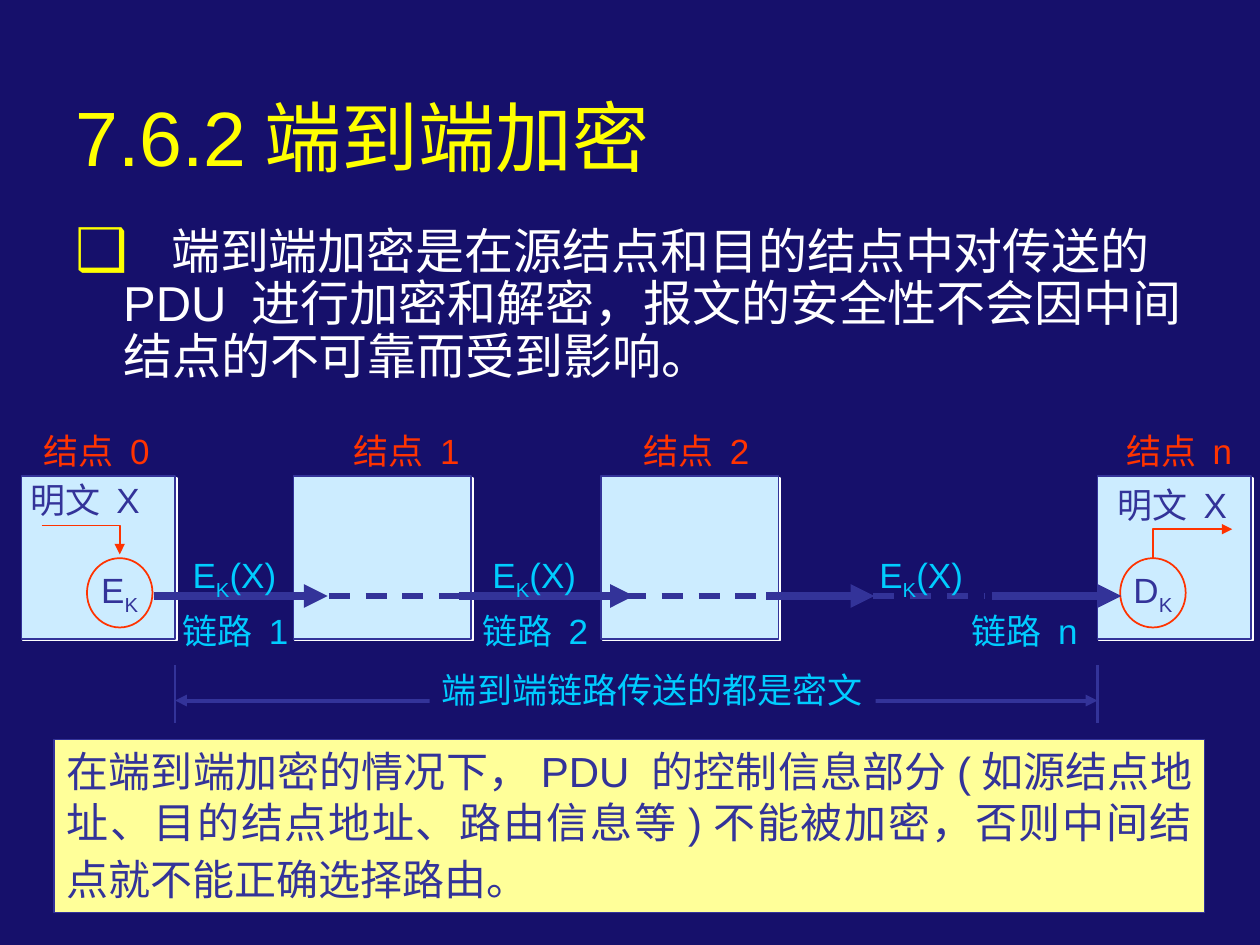
from lxml import etree
from pptx import Presentation
from pptx.dml.color import RGBColor
from pptx.enum.dml import MSO_LINE
from pptx.enum.shapes import MSO_CONNECTOR, MSO_SHAPE
from pptx.enum.text import MSO_ANCHOR, MSO_AUTO_SIZE, PP_ALIGN
from pptx.oxml.ns import qn
from pptx.util import Pt

PX = 9144  # EMU per px, 100 px to the inch
RECT, OVAL = MSO_SHAPE.RECTANGLE, MSO_SHAPE.OVAL
LINE, DASH = MSO_CONNECTOR.STRAIGHT, MSO_LINE.DASH
LEFT, MID, RIGHT, JUST = PP_ALIGN.LEFT, PP_ALIGN.CENTER, PP_ALIGN.RIGHT, PP_ALIGN.JUSTIFY
TOP, CENTER = MSO_ANCHOR.TOP, MSO_ANCHOR.MIDDLE
GROW, FIXED = MSO_AUTO_SIZE.SHAPE_TO_FIT_TEXT, MSO_AUTO_SIZE.NONE
FONT = "Arial"
HUE = {"back": "16106B", "title": "FFFF01", "mark": "FFFF00", "white": "FFFFFF",
       "node": "CCECFF", "ink": "333399", "red": "FF3300", "cyan": "00CCFF",
       "note": "FFFF99"}


def px(*nums):
    return [n * PX for n in nums]


def rgb(name):
    return RGBColor.from_string(HUE[name])


def sub(host, tag, **attrs):
    return etree.SubElement(host, qn("a:" + tag), attrs)


def bullet(para, char, hue, size):
    prop = para._p.get_or_add_pPr()
    sub(sub(prop, "buClr"), "srgbClr", val=HUE[hue])
    sub(prop, "buSzPct", val=str(size * 1000))
    sub(prop, "buFont", typeface=FONT)
    sub(prop, "buChar", char=char)


def write(shape, *lines, size=20, hue="ink", align=LEFT, anchor=TOP, wrap=False,
          fit=GROW, space=None, left=0, hang=0, first=0, tab=0, mark=None, before=0):
    """Each line is a list of runs; a run that starts with _ is a subscript."""
    frame = shape.text_frame
    frame.word_wrap, frame.auto_size = wrap, fit
    frame.vertical_anchor = anchor
    for i, runs in enumerate(lines):
        para = frame.add_paragraph() if i else frame.paragraphs[0]
        prop = para._p.get_or_add_pPr()
        prop.set("marL", str((left if i else left + first) * PX))
        prop.set("indent", str(-hang * PX))
        if mark:
            bullet(para, mark, "mark", 120)
        if tab:
            sub(sub(prop, "tabLst"), "tab", pos=str(tab * PX), algn="l")
        para.alignment = align if i or not first else LEFT
        para.space_before = Pt(before)
        if space:
            para.line_spacing = space
        for part in runs:
            run = para.add_run()
            run.text = part.lstrip("_")
            run.font.size, run.font.name = Pt(size), FONT
            run.font.color.rgb = rgb(hue)
            if part.startswith("_"):
                run._r.get_or_add_rPr().set("baseline", "-25000")
    return shape


def label(slide, box, *lines, **form):
    return write(slide.shapes.add_textbox(*px(*box)), *lines, **form)


def style(shape, fill=None, line=None, width=1):
    shape.shadow.inherit = False
    if fill:
        shape.fill.solid()
        shape.fill.fore_color.rgb = rgb(fill)
    else:
        shape.fill.background()
    if line:
        shape.line.color.rgb = rgb(line)
        shape.line.width = Pt(width)
    else:
        shape.line.fill.background()
    return shape


def tip(shape, *ends):
    for end in ends:
        sub(shape.line._get_or_add_ln(), end, type="triangle")


def rule(slide, x1, y1, x2, y2, width, *ends, dash=None):
    line = slide.shapes.add_connector(LINE, *px(x1, y1, x2, y2))
    line.line.color.rgb, line.line.width = rgb("ink"), Pt(width)
    if dash:
        line.line.dash_style = dash
    tip(line, *ends)
    sub(line._element.spPr, "effectLst")


def node(slide, x, y, w, h, name, shift):
    rect = style(slide.shapes.add_shape(RECT, *px(x, y, w, h)), "node", "ink")
    cast = sub(rect._element.spPr.find(qn("a:effectLst")), "outerShdw",
               dist=str(Pt(1.4)), dir="2700000", algn="ctr", rotWithShape="0")
    sub(cast, "srgbClr", val=HUE["white"])
    label(slide, (x + shift, y - 42, 104, 44), [name], hue="red")


def cipher(slide, x, y, key, ring, plain, path):
    """Key circle, plain text and bent arrow inside the end node at x, y."""
    oval = style(slide.shapes.add_shape(OVAL, *px(x + ring, y + 65, 52, 55)), None, "red")
    write(oval, [key, "_K"], align=MID, anchor=CENTER, fit=FIXED)
    spots = [px(x + dx, y + dy) for dx, dy in path]
    pen = slide.shapes.build_freeform(*spots[0])
    pen.add_line_segments(spots[1:], close=False)
    tip(style(pen.convert_to_shape(), None, "red"), "tailEnd")
    label(slide, (x + plain[0], y + plain[1], 107, 44), ["明文 X"])


def nodes(slide, y):
    for x, w, name, shift in ((233, 141, "1", 38), (477, 141, "2", 24),
                              (871, 122, "n", 13), (17, 122, "0", 8)):
        node(slide, x, y, w, 129, "结点 " + name, shift)
    cipher(slide, 871, y, "D", 18, (6, 1), ((44, 65), (44, 42), (107, 42)))
    cipher(slide, 17, y, "E", 52, (-3, -3), ((16, 39), (78, 39), (78, 62)))


def links(slide, y):
    for x1, x2 in ((122, 260), (364, 503), (787, 890), (608, 694)):
        rule(slide, x1, y, x2, y, 4.5, "tailEnd")
    for x1, x2 in ((693, 782), (261, 386), (496, 620)):
        rule(slide, x1, y, x2, y, 3, dash=DASH)
    for x, w, name, align in ((135, 104, "1", LEFT), (373, 104, "2", LEFT),
                              (680, 185, "n", RIGHT)):
        label(slide, (x, y - 46, w, 96), ["E", "_K", "(X)"], ["链路 " + name],
              hue="cyan", space=1.2, align=align, first=8, wrap=w > 104)


def span(slide, x, y, w):
    rule(slide, x, y, x + w, y, 2.25, "headEnd", "tailEnd")
    text = style(slide.shapes.add_shape(RECT, *px(x + 202, y - 30, 354, 44)), "back")
    write(text, ["端到端链路传送的都是密文"], hue="cyan")
    for end in (x, x + w):
        rule(slide, end, y - 28, end, y + 18, 1.5)


def note(slide, *box):
    rect = style(slide.shapes.add_shape(RECT, *px(*box)), "note", "ink", 0.75)
    write(rect, ["在端到端加密的情况下，PDU 的控制信息部分(如源结点地址、目的结点地址、"
                 "路由信息等)不能被加密，否则中间结点就不能正确选择路由。"],
          size=24, align=JUST, wrap=True)
    tail = rect.text_frame.paragraphs[0].add_run()
    tail.text, tail.font.size = " ", Pt(28)


def heading(slide, *box):
    title = slide.shapes.title
    title.left, title.top, title.width, title.height = px(*box)
    write(title, ["7.6.2\t端到端加密"], size=44, hue="title", anchor=CENTER,
          wrap=True, fit=FIXED, tab=184)


def main():
    deck = Presentation()
    deck.slide_width, deck.slide_height = px(1000, 750)
    slide = deck.slides.add_slide(deck.slide_layouts[5])
    slide.background.fill.solid()
    slide.background.fill.fore_color.rgb = rgb("back")
    # Heading and main point
    heading(slide, 50, 58, 892, 100)
    label(slide, (50, 175, 917, 142),
          ["\t端到端加密是在源结点和目的结点中对传送的 PDU 进行加密和解密，"
           "报文的安全性不会因中间结点的不可靠而受到影响。"],
          size=28, hue="white", wrap=True, fit=FIXED, space=0.9,
          left=38, hang=38, tab=76, mark="❑")
    # Diagram
    nodes(slide, 378)
    links(slide, 473)
    span(slide, 139, 556, 732)
    # Remark
    note(slide, 43, 587, 913, 137)
    deck.save("out.pptx")


if __name__ == "__main__":
    main()
